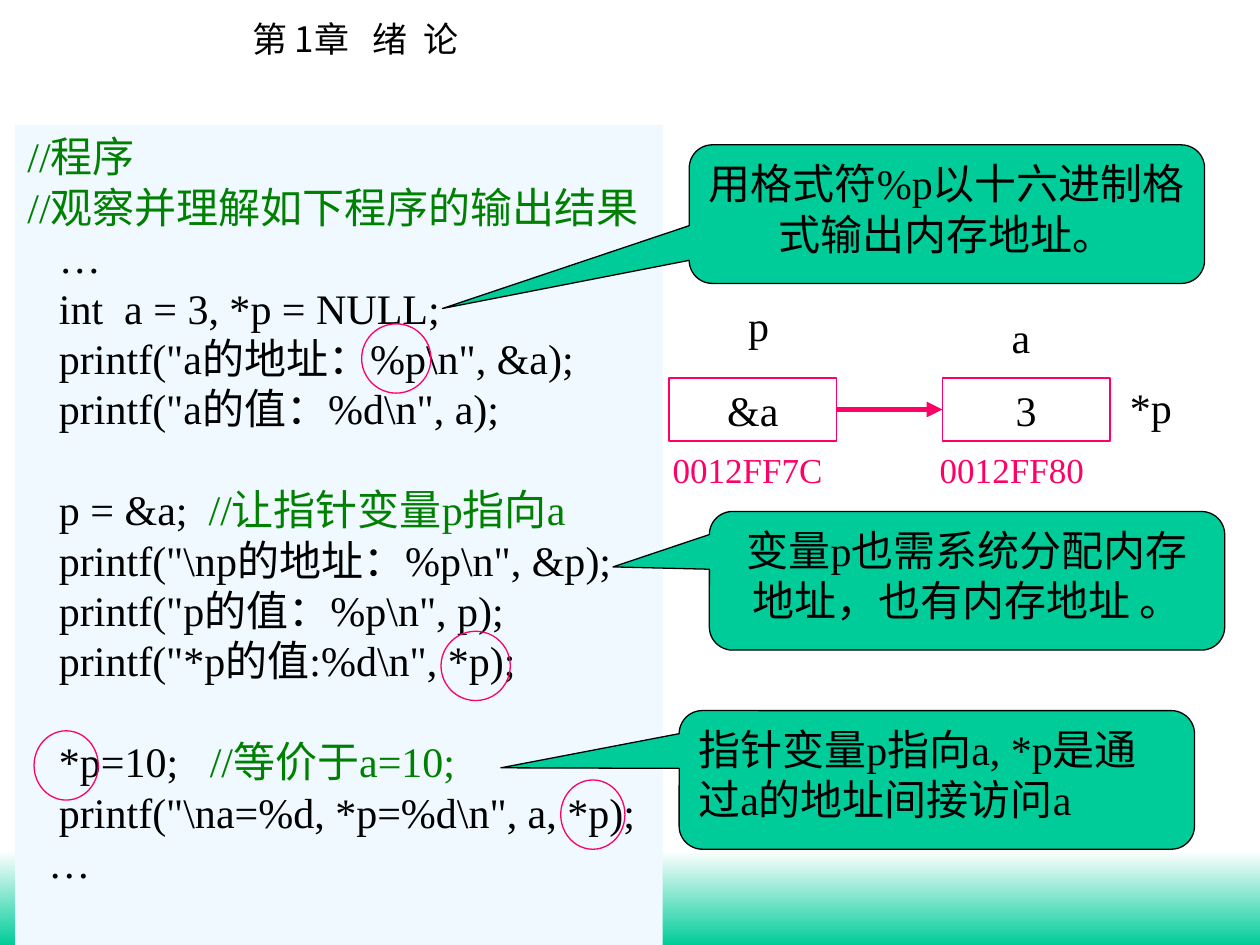
import pptx
import pptx.dml.color
import pptx.enum.dml
import pptx.enum.shapes
import pptx.enum.text
import pptx.oxml.ns
import pptx.util
import lxml.etree

Inches = pptx.util.Inches
Pt = pptx.util.Pt
SHAPES = pptx.enum.shapes.MSO_SHAPE
ALIGN = pptx.enum.text.PP_ALIGN
ANCHOR = pptx.enum.text.MSO_ANCHOR
qn = pptx.oxml.ns.qn

COLORS = {
    "white": "FFFFFF",
    "black": "000000",
    "panel": "EFF9FF",
    "comment": "008000",
    "teal": "00CC99",
    "pink": "FF0066",
}
LATIN = "Times New Roman"
CHINESE = "Noto Sans CJK SC"
LINE_HEIGHT = 28.8

CODE_BLOCKS = [
    [
        [("//程序", "comment")],
        [("//观察并理解如下程序的输出结果", "comment")],
        [("   …", "black")],
        [("   int  a = 3, *p = NULL;", "black")],
        [(r'   printf("a的地址：%p\n", &a);', "black")],
        [(r'   printf("a的值：%d\n", a);', "black")],
    ],
    [
        [("   p = &a;  ", "black"), ("//让指针变量p指向a", "comment")],
        [(r'   printf("\np的地址：%p\n", &p);', "black")],
        [(r'   printf("p的值：%p\n", p);', "black")],
        [(r'   printf("*p的值:%d\n", *p);', "black")],
    ],
    [
        [("   *p=10;   ", "black"), ("//等价于a=10;", "comment")],
        [(r'   printf("\na=%d, *p=%d\n", a, *p);', "black")],
        [("  …", "black")],
    ],
]

CALLOUTS = [
    ((5.47, 1.15), (-0.979, 0.681), ALIGN.CENTER, "用格式符%p以十六进制格式输出内存地址。"),
    ((5.63, 4.06), (-0.687, -0.1), ALIGN.CENTER, "变量p也需系统分配内存地址，也有内存地址 。"),
    ((5.39, 5.64), (-0.846, -0.087), ALIGN.LEFT, "指针变量p指向a, *p是通过a的地址间接访问a"),
]

CIRCLES = [
    (2.87, 2.57, 0.55, 0.55),
    (3.5, 5.01, 0.55, 0.55),
    (0.27, 5.8, 0.51, 0.55),
    (4.45, 6.19, 0.51, 0.55),
]


def rgb(name):
    return pptx.dml.color.RGBColor.from_string(COLORS[name])


def add_run(paragraph, text, size=24, font=LATIN, color="black"):
    run = paragraph.add_run()
    run.text = text
    run.font.size = Pt(size)
    run.font.name = font
    run.font.color.rgb = rgb(color)
    east_asian = lxml.etree.SubElement(run.font._element, qn("a:ea"))
    east_asian.set("typeface", CHINESE)


def write_text(shape, text, align=ALIGN.LEFT, anchor=ANCHOR.TOP, wrap=False,
               line_height=None, **run_format):
    frame = shape.text_frame
    frame.word_wrap = wrap
    frame.vertical_anchor = anchor
    paragraph = frame.paragraphs[0]
    paragraph.alignment = align
    if line_height:
        paragraph.line_spacing = Pt(line_height)
    add_run(paragraph, text, **run_format)


def add_box(slide, kind, box, fill=None, line=None, width=0.75):
    shape = slide.shapes.add_shape(kind, *map(Inches, box))
    shape.shadow.inherit = False
    if fill:
        shape.fill.solid()
        shape.fill.fore_color.rgb = rgb(fill)
    else:
        shape.fill.background()
    if line:
        shape.line.color.rgb = rgb(line)
        shape.line.width = Pt(width)
    else:
        shape.line.fill.background()
    return shape


def add_label(slide, box, text, **text_format):
    write_text(slide.shapes.add_textbox(*map(Inches, box)), text, **text_format)


def add_footer_band(slide, box):
    band = add_box(slide, SHAPES.RECTANGLE, box)
    band.fill.gradient()
    band.fill.gradient_angle = 270
    for stop, name in zip(band.fill.gradient_stops, ("white", "teal")):
        stop.color.rgb = rgb(name)


def add_chapter_title(slide, box):
    title = slide.shapes.title
    title.left, title.top, title.width, title.height = map(Inches, box)
    write_text(title, "第 1章   绪  论", size=20, font=CHINESE)


def add_code_panel(slide, box):
    panel = add_box(slide, SHAPES.RECTANGLE, box, fill="panel")
    frame = panel.text_frame
    frame.word_wrap = True
    frame.vertical_anchor = ANCHOR.TOP
    paragraph = None
    for block in CODE_BLOCKS:
        for index, line in enumerate(block):
            starts_block = paragraph is not None and index == 0
            paragraph = frame.paragraphs[0] if paragraph is None else frame.add_paragraph()
            paragraph.alignment = ALIGN.LEFT
            paragraph.line_spacing = Pt(LINE_HEIGHT)
            if starts_block:
                paragraph.space_before = Pt(LINE_HEIGHT)
            properties = paragraph._p.get_or_add_pPr()
            properties.set("marL", str(Inches(0.38)))
            properties.set("indent", str(-Inches(0.38)))
            for text, color in line:
                add_run(paragraph, text, color=color)


def add_memory_cell(slide, box, content):
    cell = add_box(slide, SHAPES.RECTANGLE, box, line="pink", width=1)
    write_text(cell, content, align=ALIGN.CENTER, anchor=ANCHOR.MIDDLE)
    return cell


def add_pointer_diagram(slide, left, top):
    cell_top = top + 0.67
    value_left = left + 2.17
    add_label(slide, (left + 0.53, top, 0.36, 0.5), "p")
    add_label(slide, (value_left + 0.45, top + 0.09, 0.35, 0.5), "a")
    pointer = add_memory_cell(slide, (left, cell_top, 1.33, 0.5), "&a")
    value = add_memory_cell(slide, (value_left, cell_top, 1.33, 0.5), "3")
    add_label(slide, (value_left + 1.39, top + 0.65, 0.53, 0.5), "*p", anchor=ANCHOR.MIDDLE)
    for address_left, address in ((left - 0.07, "0012FF7C"), (value_left - 0.12, "0012FF80")):
        add_label(slide, (address_left, top + 1.18, 1.57, 0.44), address,
                  wrap=True, size=20, color="pink")

    arrow = slide.shapes.add_connector(pptx.enum.shapes.MSO_CONNECTOR.STRAIGHT, 0, 0, 0, 0)
    arrow.begin_connect(pointer, 3)
    arrow.end_connect(value, 1)
    arrow.line.color.rgb = rgb("pink")
    arrow.line.width = Pt(3)
    lxml.etree.SubElement(arrow.line._get_or_add_ln(), qn("a:tailEnd")).set("type", "triangle")
    lxml.etree.SubElement(arrow._element.spPr, qn("a:effectLst"))


def add_callout(slide, box, tip, align, text):
    callout = add_box(slide, SHAPES.ROUNDED_RECTANGULAR_CALLOUT, box, fill="teal", line="black")
    callout.adjustments[0], callout.adjustments[1] = tip
    callout.adjustments[2] = 0.167
    write_text(callout, text, align=align, wrap=True, line_height=LINE_HEIGHT)


def main():
    presentation = pptx.Presentation()
    presentation.slide_width = Inches(10)
    presentation.slide_height = Inches(7.5)
    slide = presentation.slides.add_slide(presentation.slide_layouts[5])
    add_footer_band(slide, (0, 6.75, 10, 0.75))
    add_chapter_title(slide, (1.9, 0.09, 2.04, 0.44))
    add_code_panel(slide, (0.12, 0.99, 5.14, 6.51))
    add_pointer_diagram(slide, 5.31, 2.33)
    for position, tip, align, text in CALLOUTS:
        add_callout(slide, (*position, 4.09, 1.1), tip, align, text)
    for box in CIRCLES:
        add_box(slide, SHAPES.OVAL, box, line="pink")
    presentation.save("out.pptx")


if __name__ == "__main__":
    main()
